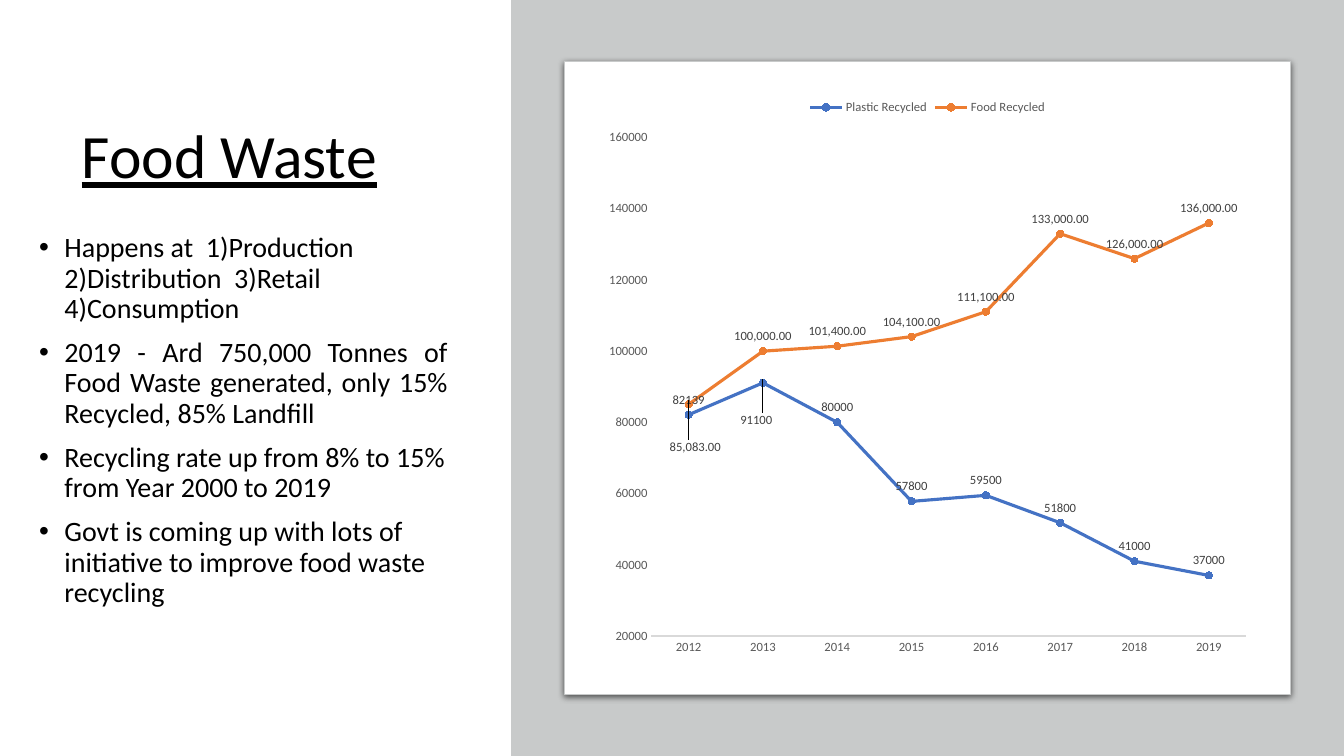
"""Build the Food Waste slide: bullet text on the left, recycling line chart on the right."""
from lxml import etree
from pptx import Presentation
from pptx.chart.data import CategoryChartData
from pptx.dml.color import RGBColor
from pptx.enum.chart import XL_CHART_TYPE, XL_LABEL_POSITION, XL_LEGEND_POSITION, XL_MARKER_STYLE, XL_TICK_MARK
from pptx.enum.shapes import MSO_SHAPE
from pptx.enum.text import MSO_ANCHOR, MSO_AUTO_SIZE, PP_ALIGN
from pptx.oxml import parse_xml
from pptx.oxml.ns import nsdecls, qn
from pptx.util import Inches, Pt

LINE_MARKERS = XL_CHART_TYPE.LINE_MARKERS
ABOVE = XL_LABEL_POSITION.ABOVE
LEGEND_TOP = XL_LEGEND_POSITION.TOP
CIRCLE = XL_MARKER_STYLE.CIRCLE
NO_TICK = XL_TICK_MARK.NONE
RECTANGLE, ROUNDED = MSO_SHAPE.RECTANGLE, MSO_SHAPE.ROUNDED_RECTANGLE
MIDDLE, TOP = MSO_ANCHOR.MIDDLE, MSO_ANCHOR.TOP
NO_FIT = MSO_AUTO_SIZE.NONE
LEFT, JUSTIFY = PP_ALIGN.LEFT, PP_ALIGN.JUSTIFY

THEME = {
    "font": "Calibri",
    "black": RGBColor.from_string("000000"),
    "white": RGBColor.from_string("FFFFFF"),
    "panel": RGBColor.from_string("C8CACA"),
    "axis_text": RGBColor.from_string("595959"),
    "label_text": RGBColor.from_string("404040"),
    "axis_line": RGBColor.from_string("D9D9D9"),
    "plastic": RGBColor.from_string("4472C4"),
    "food": RGBColor.from_string("ED7D31"),
    "title_size": Pt(44),
    "body_size": Pt(20),
    "chart_size": Pt(10),
    "small_size": Pt(9),
}


def style_font(font, size, color, **extra):
    """Apply the theme typeface, a theme size and a theme colour to a font."""
    for name, value in {"name": THEME["font"], "size": THEME[size], **extra}.items():
        setattr(font, name, value)
    font.color.rgb = THEME[color]


deck = Presentation()
deck.slide_width, deck.slide_height = Inches(13.33), Inches(7.5)
page = deck.slides.add_slide(deck.slide_layouts[5])

title = page.shapes.title
title.left, title.top, title.width, title.height = map(Inches, (0.71, 0.69, 3.83, 1.77))
title_frame = title.text_frame
title_format = {"word_wrap": True, "auto_size": NO_FIT, "vertical_anchor": MIDDLE}
for name, value in title_format.items():
    setattr(title_frame, name, value)
para = title_frame.paragraphs[0]
para.alignment, para.line_spacing = LEFT, 0.9
span = para.add_run()
span.text = "Food Waste"
style_font(span.font, "title_size", "black", underline=True)

bullets = [
    ("Happens at  1)Production 2)Distribution  3)Retail 4)Consumption", LEFT),
    ("2019 - Ard 750,000 Tonnes of Food Waste generated, only 15% Recycled, 85% Landfill", JUSTIFY),
    ("Recycling rate up from 8% to 15% from Year 2000 to 2019", LEFT),
    ("Govt is coming up with lots of initiative to improve food waste recycling", LEFT),
]
box = page.shapes.add_textbox(*map(Inches, (0.29, 2.27, 4.25, 4.09)))
body_frame = box.text_frame
for name, value in {"word_wrap": True, "auto_size": NO_FIT, "vertical_anchor": TOP}.items():
    setattr(body_frame, name, value)
for index, (text, alignment) in enumerate(bullets):
    para = body_frame.add_paragraph() if index else body_frame.paragraphs[0]
    properties = para._p.get_or_add_pPr()
    properties.set("marL", str(Inches(0.25)))
    properties.set("indent", str(Inches(-0.25)))
    etree.SubElement(properties, qn("a:buFont")).set("typeface", "Arial")
    etree.SubElement(properties, qn("a:buChar")).set("char", "•")
    para.alignment, para.line_spacing = alignment, 0.9
    para.space_before = Pt(10 if index else 0)
    span = para.add_run()
    span.text = text
    style_font(span.font, "body_size", "black")

panel = page.shapes.add_shape(RECTANGLE, *map(Inches, (5.07, 0, 8.26, 7.5)))
panel.line.fill.background()
card = page.shapes.add_shape(ROUNDED, *map(Inches, (5.6, 0.61, 7.2, 6.28)))
card.adjustments[0] = 0
card.line.color.rgb = THEME["panel"]
card.line.width = Pt(0.75)
for shape, color in ((panel, "panel"), (card, "white")):
    shape.shadow.inherit = False
    shape.fill.solid()
    shape.fill.fore_color.rgb = THEME[color]
card._element.spPr.find(qn("a:effectLst")).append(parse_xml(
    f'<a:outerShdw {nsdecls("a")} blurRad="{Pt(4.5)}" dist="{Pt(1.5)}" dir="5400000" '
    'algn="ctr" rotWithShape="0"><a:srgbClr val="000000"><a:alpha val="63000"/></a:srgbClr></a:outerShdw>'))

recycling = CategoryChartData(number_format="General")
recycling.categories = [str(year) for year in range(2012, 2020)]
recycling.add_series("Plastic Recycled", (82139, 91100, 80000, 57800, 59500, 51800, 41000, 37000))
recycling.add_series("Food Recycled", (85083, 100000, 101400, 104100, 111100, 133000, 126000, 136000))
chart = page.shapes.add_chart(LINE_MARKERS, *map(Inches, (5.91, 0.88, 6.58, 5.73)), recycling).chart
chart.has_title = False
style_font(chart.font, "chart_size", "black")
chart.has_legend = True
chart.legend.position = LEGEND_TOP
chart.legend.include_in_layout = False
style_font(chart.legend.font, "small_size", "axis_text")

year_axis, tonnes_axis = chart.category_axis, chart.value_axis
axis_format = {"major_tick_mark": NO_TICK, "minor_tick_mark": NO_TICK, "has_major_gridlines": False}
for axis in (year_axis, tonnes_axis):
    for name, value in axis_format.items():
        setattr(axis, name, value)
    style_font(axis.tick_labels.font, "small_size", "axis_text")
year_axis.format.line.color.rgb = THEME["axis_line"]
year_axis.format.line.width = Pt(0.75)
tonnes_axis.format.line.fill.background()
for name, value in {"minimum_scale": 20000, "maximum_scale": 160000, "major_unit": 20000}.items():
    setattr(tonnes_axis, name, value)

series_styles = [
    ("plastic", "General", 1, -0.01, 0.09),
    ("food", "#,##0.00", 0, 0.01, 0.1),
]
for series, (color, number_format, moved, shift_x, shift_y) in zip(chart.plots[0].series, series_styles):
    series.smooth = False
    series.format.line.color.rgb = THEME[color]
    series.format.line.width = Pt(2.25)
    marker = series.marker
    marker.style, marker.size = CIRCLE, 5
    marker.format.fill.solid()
    marker.format.fill.fore_color.rgb = THEME[color]
    marker.format.line.color.rgb = THEME[color]

    labels = series.data_labels
    label_format = {"show_value": True, "position": ABOVE, "number_format": number_format,
                    "number_format_is_linked": False}
    for name, value in label_format.items():
        setattr(labels, name, value)
    style_font(labels.font, "small_size", "label_text")

    moved_label = series.points[moved].data_label
    moved_label.position = ABOVE
    style_font(moved_label.font, "small_size", "label_text")
    label_xml = labels._element.find(qn("c:dLbl"))
    label_xml.insert(1, parse_xml(
        f'<c:layout {nsdecls("c")}><c:manualLayout><c:x val="{shift_x}"/><c:y val="{shift_y}"/>'
        '</c:manualLayout></c:layout>'))
    label_xml.insert(2, parse_xml(
        f'<c:numFmt {nsdecls("c")} formatCode="{number_format}" sourceLinked="0"/>'))

deck.save("out.pptx")
